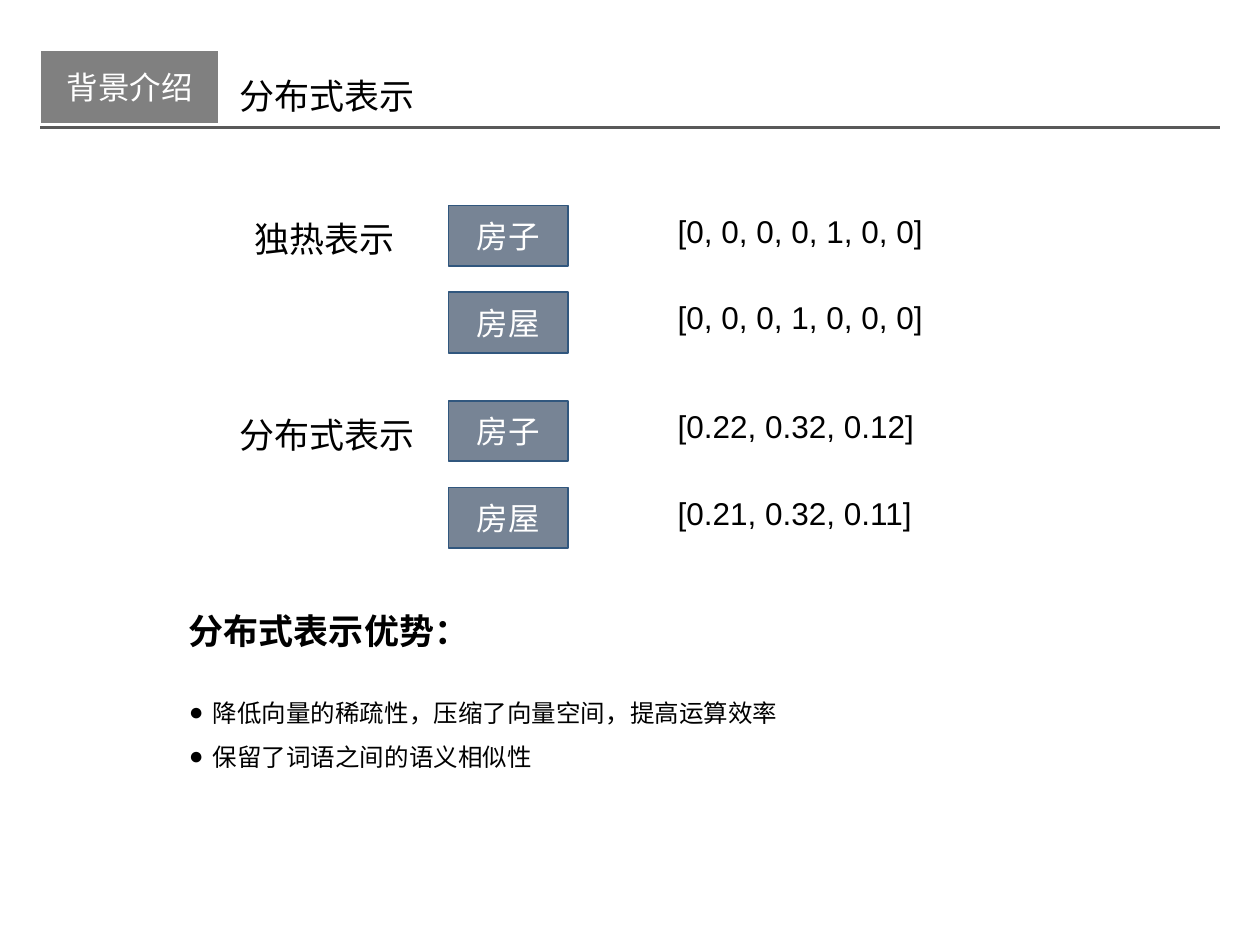
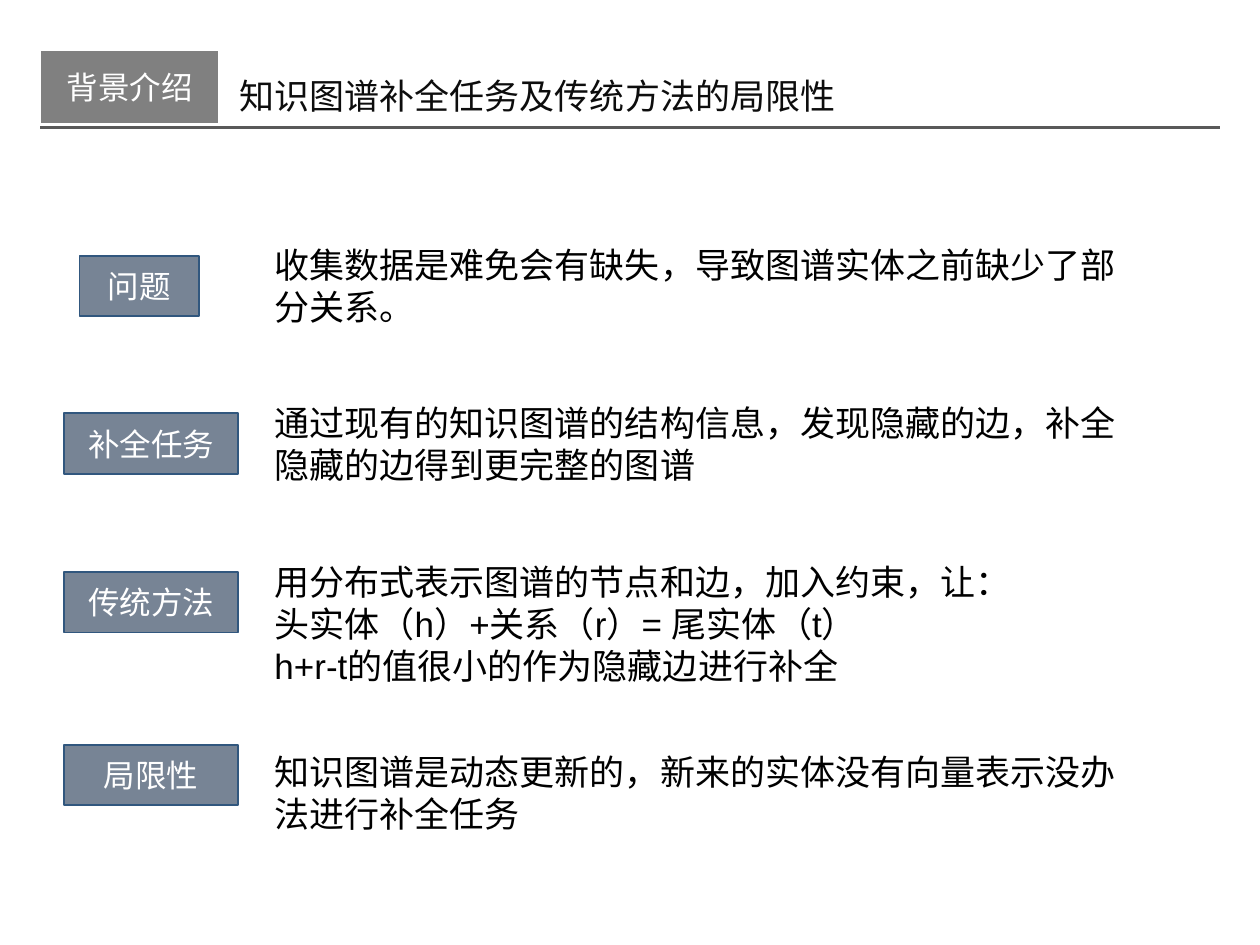
from typing import NamedTuple

from lxml.etree import SubElement
from pptx import Presentation
from pptx.dml.color import RGBColor as RGB
from pptx.enum.shapes import MSO_CONNECTOR as Line, MSO_SHAPE as Shape
from pptx.enum.text import MSO_ANCHOR as Anchor, MSO_AUTO_SIZE as Fit, PP_ALIGN as Align
from pptx.oxml.ns import qn
from pptx.util import Pt

PX = 9144  # EMU, 100 px to the inch

WHITE = RGB(0xFF, 0xFF, 0xFF)
BLACK = RGB(0x00, 0x00, 0x00)
INK = RGB(0x0D, 0x0D, 0x0D)
GREY = RGB(0x80, 0x80, 0x80)
RULE = RGB(0x59, 0x59, 0x59)
SLATE = RGB(0x77, 0x84, 0x95)
NAVY = RGB(0x31, 0x57, 0x7E)

LATIN = "Arial"
HAN = "Noto Sans CJK SC"


class Box(NamedTuple):
    left: int
    top: int
    width: int
    height: int

    def emu(self) -> list[int]:
        return [side * PX for side in self]


class Style(NamedTuple):
    size: int
    color: RGB = BLACK
    face: str = LATIN
    bold: bool = False


class Group(NamedTuple):
    """A kind of word vector, with one row for each word."""
    name: str
    top: int
    label: int
    width: int
    vectors: list[str]


class Point(NamedTuple):
    """A tagged statement."""
    tag: str
    tag_box: Box
    top: int
    rows: int
    lines: list[str]


BODY = Style(20)
VALUE = Style(18)
CHIP = Style(18, WHITE)
HEAD = Style(20, BLACK, HAN, True)
ITEM = Style(14)

WORDS = ["房子", "房屋"]
STEP = 69
GROUPS = [
    Group("独热表示", 163, 140, 232, ["[0, 0, 0, 0, 1, 0, 0]", "[0, 0, 0, 1, 0, 0, 0]"]),
    Group("分布式表示", 318, 164, 409, ["[0.22, 0.32, 0.12]", "[0.21, 0.32, 0.11]"]),
]
GAINS = ["降低向量的稀疏性，压缩了向量空间，提高运算效率", "保留了词语之间的语义相似性"]
POINTS = [
    Point("问题", Box(63, 203, 95, 48), 188, 2,
          ["收集数据是难免会有缺失，导致图谱实体之前缺少了部分关系。"]),
    Point("补全任务", Box(51, 328, 138, 48), 314, 2,
          ["通过现有的知识图谱的结构信息，发现隐藏的边，补全隐藏的边得到更完整的图谱"]),
    Point("传统方法", Box(51, 454, 138, 48), 440, 3,
          ["用分布式表示图谱的节点和边，加入约束，让：",
           "头实体（h）+关系（r）= 尾实体（t）",
           "h+r-t的值很小的作为隐藏边进行补全"]),
    Point("局限性", Box(51, 591, 138, 48), 591, 2,
          ["知识图谱是动态更新的，新来的实体没有向量表示没办法进行补全任务"]),
]


def tall(rows: int) -> int:
    """Height of a box that holds this many lines of body text."""
    return 11 + 33 * rows


def write(frame, lines: list[str], style: Style, align=Align.LEFT, anchor=Anchor.TOP) -> None:
    frame.word_wrap = True
    frame.vertical_anchor = anchor
    for n, line in enumerate(lines):
        para = frame.add_paragraph() if n else frame.paragraphs[0]
        para.alignment = align
        run = para.add_run()
        run.text = line
        font = run.font
        font.size = Pt(style.size)
        font.bold = style.bold
        font.color.rgb = style.color
        font.name = style.face
        SubElement(font._element, qn("a:ea"), typeface=HAN)


def add_text(slide, box: Box, lines: list[str], style: Style):
    frame = slide.shapes.add_textbox(*box.emu()).text_frame
    write(frame, lines, style)
    return frame


def add_chip(slide, box: Box, text: str, fill: RGB = SLATE, edge: RGB = NAVY) -> None:
    """Draw a filled label."""
    chip = slide.shapes.add_shape(Shape.RECTANGLE, *box.emu())
    chip.shadow.inherit = False
    chip.fill.solid()
    chip.fill.fore_color.rgb = fill
    chip.line.color.rgb = edge
    chip.line.width = Pt(1)
    write(chip.text_frame, [text], CHIP, Align.CENTER, Anchor.MIDDLE)


def add_list(slide, box: Box, lines: list[str]) -> None:
    """Draw a bulleted list."""
    frame = add_text(slide, box, lines, ITEM)
    for para in frame.paragraphs:
        para.line_spacing = 1.5
        props = para._p.get_or_add_pPr()
        props.set("marL", str(19 * PX))
        props.set("indent", str(-19 * PX))
        SubElement(props, qn("a:buFont"), typeface=LATIN)
        SubElement(props, qn("a:buChar"), char="●")


def add_slide(deck, text: str, width: int, color: RGB):
    """Start a slide with its section tag, title and rule."""
    slide = deck.slides.add_slide(deck.slide_layouts[5])
    title = slide.shapes.title
    title.left, title.top, title.width, title.height = Box(180, 54, width, tall(1)).emu()
    title.text_frame.auto_size = Fit.NONE
    write(title.text_frame, [text], Style(20, color, HAN))
    rule = slide.shapes.add_connector(Line.STRAIGHT, 32 * PX, 101 * PX, 968 * PX, 101 * PX)
    rule.line.color.rgb = RULE
    rule.line.width = Pt(1.5)
    SubElement(rule._element.spPr, qn("a:effectLst"))
    add_chip(slide, Box(32, 40, 142, 58), "背景介绍", GREY, WHITE)
    return slide


def draw_forms(deck) -> None:
    slide = add_slide(deck, "分布式表示", 414, BLACK)
    for group in GROUPS:
        label = Box(262 - group.label // 2, group.top + 5, group.label, tall(1))
        add_text(slide, label, [group.name], BODY)
        for n, (word, vector) in enumerate(zip(WORDS, group.vectors)):
            top = group.top + n * STEP
            add_chip(slide, Box(356, top, 95, 48), word)
            add_text(slide, Box(528, top, group.width, 40), [vector], VALUE)
    add_text(slide, Box(140, 479, 346, 56), ["分布式表示优势："], HEAD)
    add_list(slide, Box(140, 537, 758, 148), GAINS)


def draw_limits(deck) -> None:
    slide = add_slide(deck, "知识图谱补全任务及传统方法的局限性", 580, INK)
    for point in POINTS:
        add_chip(slide, point.tag_box, point.tag)
        add_text(slide, Box(208, point.top, 693, tall(point.rows)), point.lines, BODY)


def main() -> None:
    deck = Presentation()
    deck.slide_width, deck.slide_height = 1000 * PX, 750 * PX
    draw_forms(deck)
    draw_limits(deck)
    deck.save("out.pptx")


if __name__ == "__main__":
    main()
